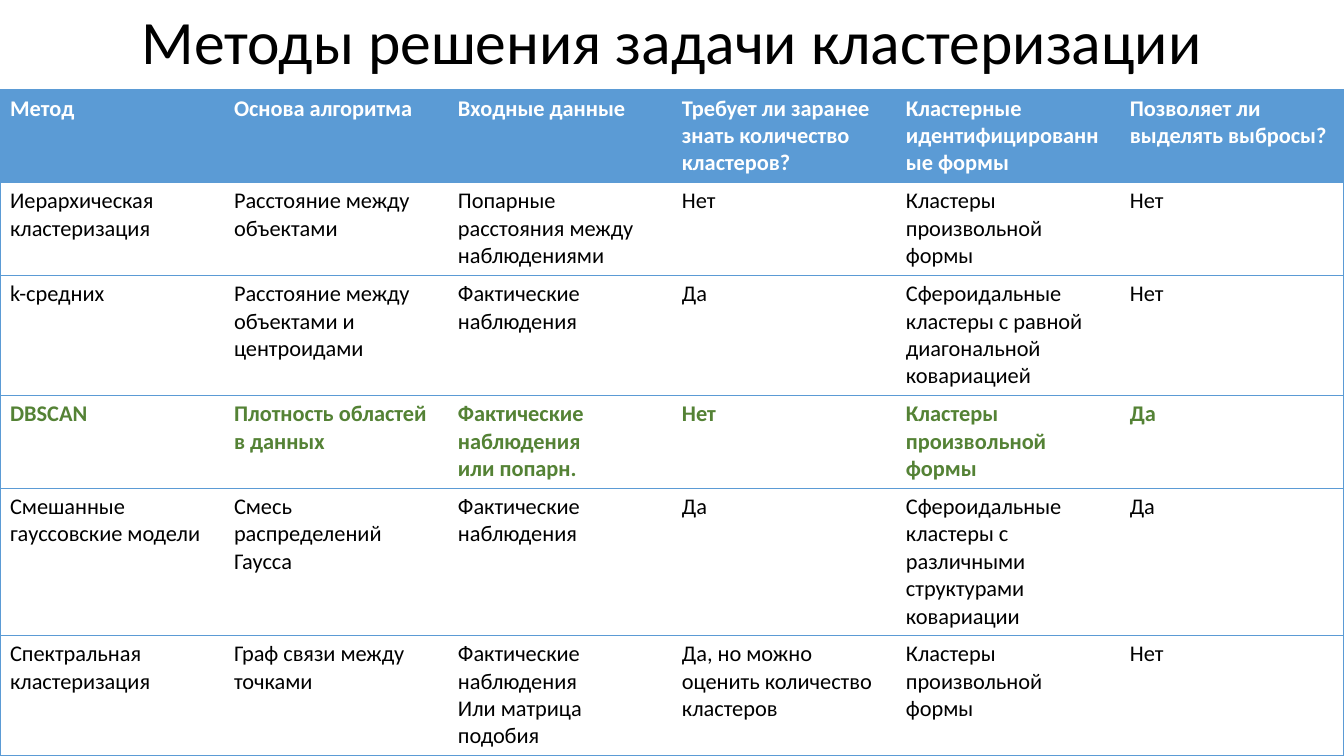
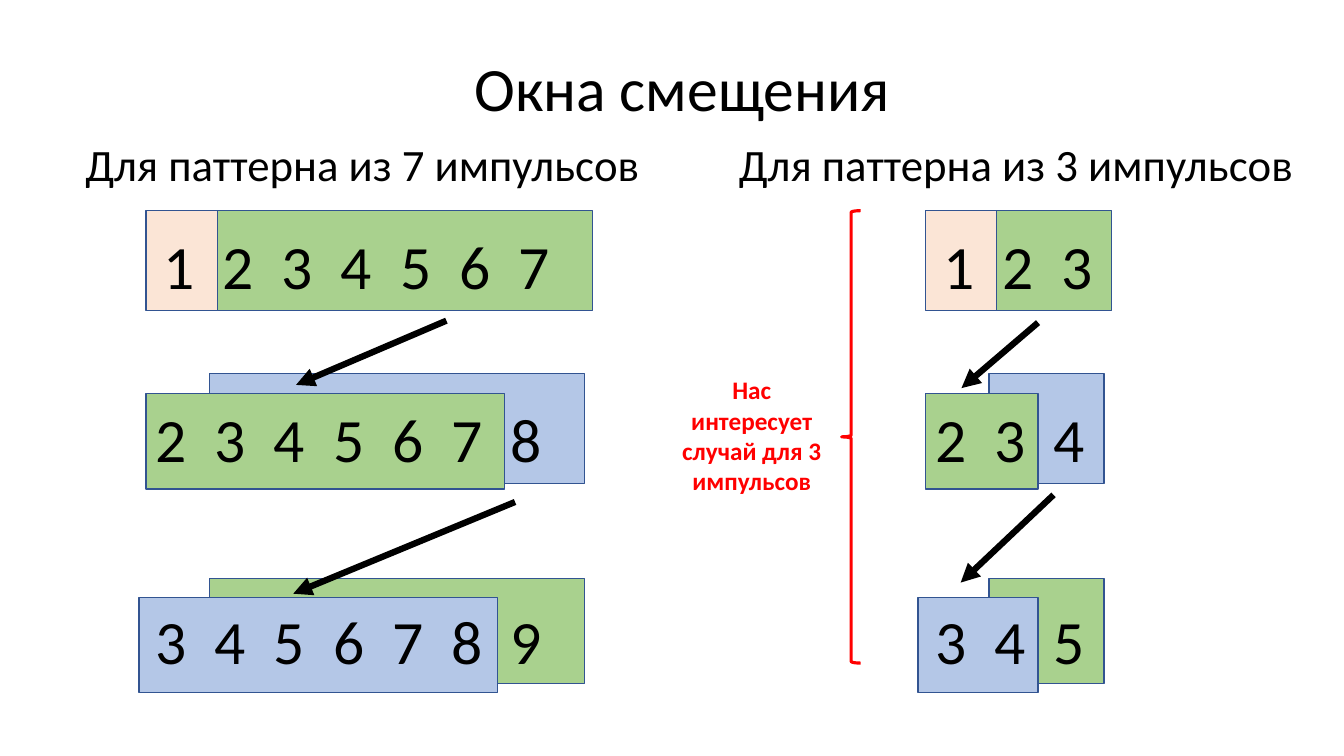
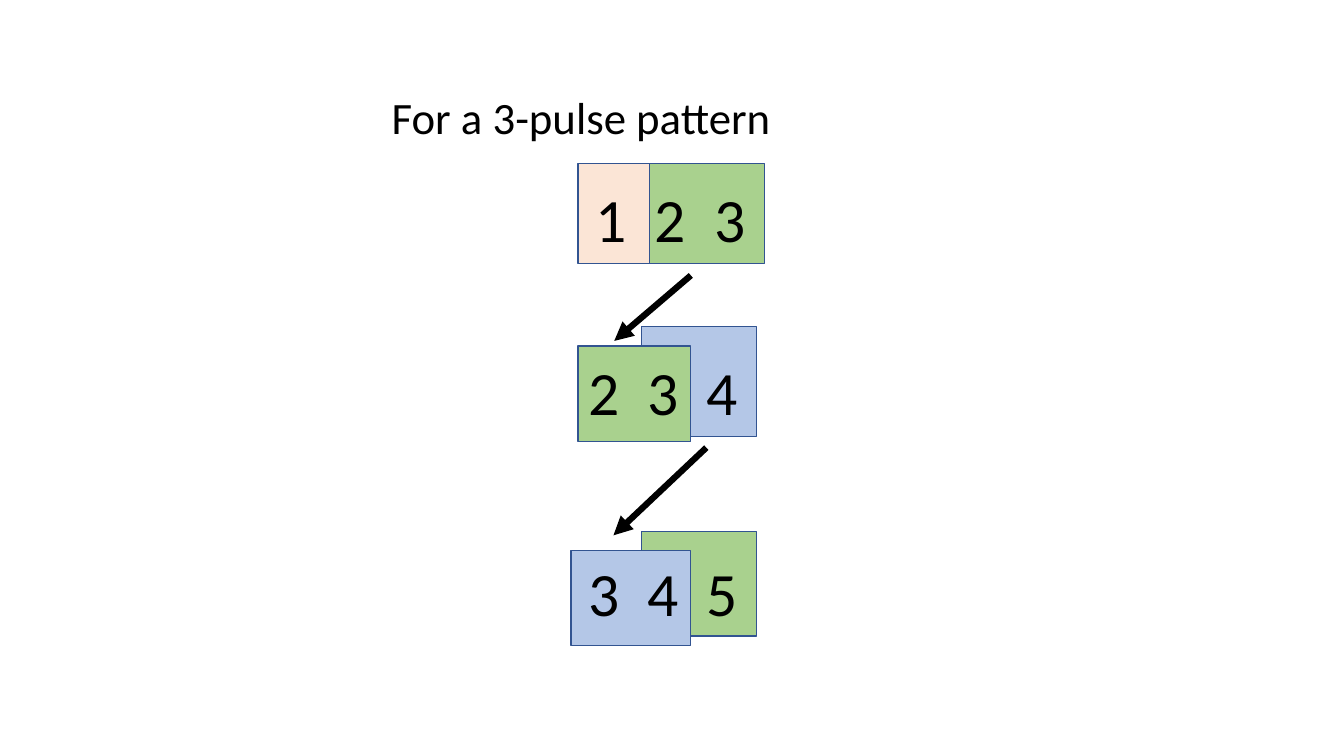
from dataclasses import dataclass

from lxml.etree import SubElement
from pptx import Presentation
from pptx.dml.color import RGBColor
from pptx.enum.shapes import MSO_CONNECTOR, MSO_SHAPE
from pptx.enum.text import MSO_ANCHOR, MSO_AUTO_SIZE, PP_ALIGN
from pptx.oxml.ns import qn
from pptx.util import Cm, Pt

FONT = "Calibri"
COLORS = {
    "black": "000000", "white": "FFFFFF", "red": "FF0000",
    "header": "5B9BD5", "accent": "548235", "outline": "325491",
    "peach": "FBE5D6", "green": "A9D18E", "blue": "B4C7E7",
}
SLIDE_WIDTH, SLIDE_HEIGHT = 33.87, 19.05
TITLE_ONLY, BLANK = 5, 6

METHOD_ROWS = [
    ["Метод", "Основа алгоритма", "Входные данные",
     "Требует ли заранее знать количество кластеров?",
     "Кластерные идентифицированные формы", "Позволяет ли выделять выбросы?"],
    ["Иерархическая кластеризация", "Расстояние между объектами",
     "Попарные расстояния между наблюдениями", "Нет",
     "Кластеры произвольной формы", "Нет"],
    ["k-средних", "Расстояние между объектами и центроидами",
     "Фактические наблюдения", "Да",
     "Сфероидальные кластеры с равной диагональной ковариацией", "Нет"],
    ["DBSCAN", "Плотность областей в данных",
     "Фактические наблюдения\nили попарн.", "Нет",
     "Кластеры произвольной формы", "Да"],
    ["Смешанные гауссовские модели", "Смесь распределений Гаусса",
     "Фактические наблюдения", "Да",
     "Сфероидальные кластеры с различными структурами ковариации", "Да"],
    ["Спектральная кластеризация", "Граф связи между точками",
     "Фактические наблюдения\nИли матрица подобия",
     "Да, но можно оценить количество кластеров",
     "Кластеры произвольной формы", "Нет"],
]
ROW_HEIGHTS = [2.34, 2.34, 3.02, 2.34, 3.71, 3.02]
HIGHLIGHTED_ROW = 3


@dataclass
class Pattern:
    """Sizes of one window diagram, in centimetres."""
    pulses: int
    back_width: float
    second_width: float
    third_width: float
    digits_width: float
    caption_left: float
    arrows: tuple


SEVEN = Pattern(7, 9.45, 9.04, 9.04, 10.34, -1.78,
                ((7.57, 2.77, 3.78, 4.39), (9.3, 7.34, 3.71, 9.65)))
THREE = Pattern(3, 2.9, 2.84, 3.02, 4.32, -4.95,
                ((2.84, 2.82, 0.91, 4.47), (3.23, 7.16, 0.89, 9.37)))


def rgb(name):
    return RGBColor.from_string(COLORS[name])


def format_text(text_frame, size, color="black", bold=False, align=PP_ALIGN.LEFT):
    for paragraph in text_frame.paragraphs:
        paragraph.alignment = align
        for run in paragraph.runs:
            run.font.name = FONT
            run.font.size = Pt(size)
            run.font.bold = bold
            run.font.color.rgb = rgb(color)


def set_title(slide, text, left, top, width, height):
    title = slide.shapes.title
    title.left, title.top, title.width, title.height = map(Cm, (left, top, width, height))
    text_frame = title.text_frame
    text_frame.text = text
    text_frame.auto_size = MSO_AUTO_SIZE.NONE
    text_frame.vertical_anchor = MSO_ANCHOR.MIDDLE
    text_frame.paragraphs[0].line_spacing = 0.9
    format_text(text_frame, 44, align=PP_ALIGN.CENTER)


def add_text(slide, text, left, top, width, height, size, wrap=False, **style):
    box = slide.shapes.add_textbox(Cm(left), Cm(top), Cm(width), Cm(height))
    text_frame = box.text_frame
    text_frame.text = text
    text_frame.word_wrap = wrap
    text_frame.auto_size = MSO_AUTO_SIZE.SHAPE_TO_FIT_TEXT
    format_text(text_frame, size, **style)


def add_box(slide, fill, left, top, width, height):
    box = slide.shapes.add_shape(
        MSO_SHAPE.RECTANGLE, Cm(left), Cm(top), Cm(width), Cm(height))
    box.shadow.inherit = False
    box.fill.solid()
    box.fill.fore_color.rgb = rgb(fill)
    box.line.color.rgb = rgb("outline")
    box.line.width = Pt(1)


def add_arrow(slide, start_x, start_y, end_x, end_y):
    arrow = slide.shapes.add_connector(
        MSO_CONNECTOR.STRAIGHT, Cm(start_x), Cm(start_y), Cm(end_x), Cm(end_y))
    arrow.line.color.rgb = rgb("black")
    arrow.line.width = Pt(4.5)
    properties = arrow.element.spPr
    SubElement(properties.find(qn("a:ln")), qn("a:tailEnd"), type="triangle")
    SubElement(properties, qn("a:effectLst"))


def set_borders(cell, colors):
    """Draw the sides that have a colour and clear the others."""
    properties = cell._tc.get_or_add_tcPr()
    for side in ("L", "R", "T", "B"):
        line = SubElement(properties, qn(f"a:ln{side}"), w=str(Pt(0.5)))
        if side in colors:
            fill = SubElement(line, qn("a:solidFill"))
            SubElement(fill, qn("a:srgbClr"), val=COLORS[colors[side]])
        else:
            SubElement(line, qn("a:noFill"))


def add_method_table(slide, left, top, width):
    row_count, column_count = len(METHOD_ROWS), len(METHOD_ROWS[0])
    table = slide.shapes.add_table(
        row_count, column_count, Cm(left), Cm(top), Cm(width), Cm(sum(ROW_HEIGHTS))).table
    table.horz_banding = False
    for column in table.columns:
        column.width = Cm(width / column_count)
    for row_index, texts in enumerate(METHOD_ROWS):
        table.rows[row_index].height = Cm(ROW_HEIGHTS[row_index])
        is_header = row_index == 0
        is_highlighted = row_index == HIGHLIGHTED_ROW
        color = "white" if is_header else "accent" if is_highlighted else "black"
        for column_index, text in enumerate(texts):
            cell = table.cell(row_index, column_index)
            cell.text_frame.text = text
            format_text(cell.text_frame, 16, color, is_header or is_highlighted)
            sides = {"T": "header", "B": "header"}
            if column_index == 0:
                sides["L"] = "header"
            if column_index == column_count - 1:
                sides["R"] = "header"
            set_borders(cell, sides)
            if is_header:
                cell.fill.solid()
                cell.fill.fore_color.rgb = rgb("header")
            else:
                cell.fill.background()


def add_windows(slide, pattern, caption, caption_width, left, top):
    """Place a shifting-window diagram whose first box starts at left, top."""
    # Boxes: the next pulse lies behind the pulses kept from the row above
    boxes = (
        ("peach", 0, 0, 1.8, 2.52),
        ("green", 1.8, 0, pattern.back_width, 2.52),
        ("blue", 1.6, 4.11, pattern.back_width, 2.77),
        ("green", 0, 4.6, pattern.second_width, 2.41),
        ("green", 1.6, 9.27, pattern.back_width, 2.64),
        ("blue", -0.18, 9.75, pattern.third_width, 2.39),
    )
    for fill, x, y, width, height in boxes:
        add_box(slide, fill, left + x, top + y, width, height)

    # Pulse numbers
    for first, (x, y) in enumerate(((0.2, 0.32), (0, 4.67), (0, 9.75)), start=1):
        digits = "  ".join(str(first + step) for step in range(pattern.pulses))
        add_text(slide, digits, left + x, top + y, pattern.digits_width, 2.13, 44)

    # Caption and arrows
    add_text(slide, caption, left + pattern.caption_left, top - 1.98,
             caption_width, 1.63, 32)
    for start_x, start_y, end_x, end_y in pattern.arrows:
        add_arrow(slide, left + start_x, top + start_y, left + end_x, top + end_y)


def add_brace_note(slide, left, top, height):
    add_text(slide, "Нас интересует случай для 3 импульсов", left, top + 4.01, 4.01, 3.33,
             18, wrap=True, color="red", bold=True, align=PP_ALIGN.CENTER)
    brace = slide.shapes.add_shape(
        MSO_SHAPE.LEFT_BRACE, Cm(left + 4.27), Cm(top), Cm(0.48), Cm(height))
    brace.shadow.inherit = False
    brace.fill.background()
    brace.line.color.rgb = rgb("red")
    brace.line.width = Pt(2.25)


def build_methods_slide(presentation):
    slide = presentation.slides.add_slide(presentation.slide_layouts[TITLE_ONLY])
    set_title(slide, "Методы решения задачи кластеризации", 2.34, 0, 29.21, 2.26)
    add_method_table(slide, 0, 2.26, SLIDE_WIDTH)


def build_windows_slide(presentation):
    slide = presentation.slides.add_slide(presentation.slide_layouts[TITLE_ONLY])
    set_title(slide, "Окна смещения", 2.59, 0.46, 29.21, 3.68)
    top = 5.31
    add_windows(slide, SEVEN, "Для паттерна из 7 импульсов", 14.61, 3.68, top)
    add_windows(slide, THREE, "Для паттерна из 3 импульсов", 14.61, 23.32, top)
    add_brace_note(slide, 16.94, top, 11.4)


def build_three_pulse_slide(presentation):
    slide = presentation.slides.add_slide(presentation.slide_layouts[BLANK])
    add_windows(slide, THREE, "For a 3-pulse pattern", 10.19, 14.57, 4.12)


def main():
    presentation = Presentation()
    presentation.slide_width = Cm(SLIDE_WIDTH)
    presentation.slide_height = Cm(SLIDE_HEIGHT)
    build_methods_slide(presentation)
    build_windows_slide(presentation)
    build_three_pulse_slide(presentation)
    presentation.save("out.pptx")


if __name__ == "__main__":
    main()
